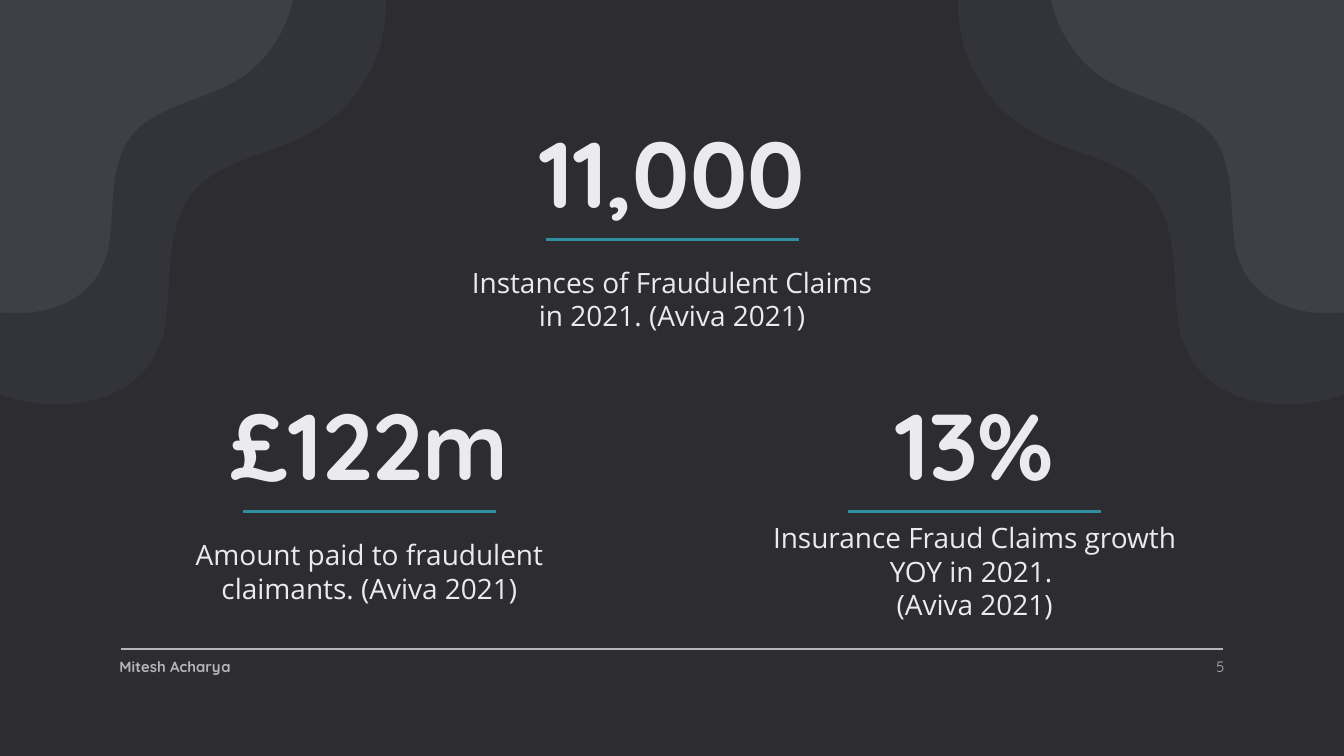
import dataclasses

import pptx
import pptx.dml.color
import pptx.enum.shapes
import pptx.enum.text
import pptx.oxml
import pptx.oxml.ns
import pptx.util

Pt = pptx.util.Pt
ALIGN = pptx.enum.text.PP_ALIGN
WIDE, HIGH = 720, 405


@dataclasses.dataclass(frozen=True)
class Theme:
    back: str = "2D2C31"
    outer: str = "333439"
    inner: str = "3F4045"
    text: str = "EBEAEF"
    muted: str = "B6B6B6"
    accent: str = "2F8EA0"
    head: str = "Quicksand"
    body: str = "Open Sans"
    big: int = 50
    mid: int = 15
    small: int = 8


def color(code):
    return pptx.dml.color.RGBColor.from_string(code)


def bend(shape):
    """Turn each three straight steps after the first into one cubic curve."""
    steps = shape._element.xpath(".//a:lnTo")[1:]
    for i in range(0, len(steps), 3):
        cubic = pptx.oxml.parse_xml(
            "<a:cubicBezTo %s/>" % pptx.oxml.ns.nsdecls("a"))
        steps[i].addprevious(cubic)
        for step in steps[i:i + 3]:
            cubic.append(step[0])
            step.getparent().remove(step)


class Page:
    def __init__(self, deck, theme):
        self.theme = theme
        self.slide = deck.slides.add_slide(deck.slide_layouts[5])
        self.shapes = self.slide.shapes
        fill = self.slide.background.fill
        fill.solid()
        fill.fore_color.rgb = color(theme.back)

    def wave(self, points, code, mirror):
        """Corner blob: a straight top edge, then a chain of curves."""
        spots = [(Pt(WIDE - x if mirror else x), Pt(y)) for x, y in points]
        form = self.shapes.build_freeform(*spots[0])
        form.add_line_segments(spots[1:], close=True)
        blob = form.convert_to_shape()
        bend(blob)
        blob.shadow.inherit = False
        blob.fill.solid()
        blob.fill.fore_color.rgb = color(code)
        blob.line.fill.background()

    def rule(self, left, top, width, code, weight):
        line = self.shapes.add_connector(
            pptx.enum.shapes.MSO_CONNECTOR.STRAIGHT,
            Pt(left), Pt(top), Pt(left + width), Pt(top))
        line.line.color.rgb = color(code)
        line.line.width = Pt(weight)
        props = line._element.spPr
        props.append(pptx.oxml.parse_xml(
            "<a:effectLst %s/>" % pptx.oxml.ns.nsdecls("a")))

    def text(self, place, lines, font, size, code, bold=False,
             align=ALIGN.CENTER, title=False):
        left, top, width, height = (Pt(v) for v in place)
        if title:
            box = self.shapes.title
            box.left, box.top, box.width, box.height = left, top, width, height
        else:
            box = self.shapes.add_textbox(left, top, width, height)
        frame = box.text_frame
        frame.text = "\n".join(lines)
        frame.word_wrap = True
        frame.auto_size = pptx.enum.text.MSO_AUTO_SIZE.NONE
        frame.vertical_anchor = pptx.enum.text.MSO_ANCHOR.MIDDLE
        frame.margin_left = frame.margin_right = Pt(7.2)
        frame.margin_top = frame.margin_bottom = Pt(7.2)
        for para in frame.paragraphs:
            para.alignment = align
            para.font.name = font
            para.font.size = Pt(size)
            para.font.bold = bold
            para.font.color.rgb = color(code)

    def stat(self, left, top, value, lines, title=False):
        """Large figure, accent rule and caption, all on one centre."""
        look, width, span = self.theme, 230.4, 135.4
        self.text((left, top, width, 59), [value], look.head, look.big,
                  look.text, bold=True, title=title)
        self.rule(left + (width - span) / 2, top + 66, span, look.accent, 1.5)
        self.text((left, top + 80.5, width, 34.6), lines, look.body, look.mid,
                  look.text)


# Left corner waves: start, edge, then three points for each curve
OUTER = [
    (-31, -15.8), (204.5, -15.1),
    (212.4, 15.8), (198.7, 51.1), (171.4, 67.7),
    (153.4, 79.9), (131, 82.8), (113, 94.3),
    (86.4, 112.3), (92.9, 146.2), (88.6, 173.5),
    (83.5, 204.5), (57.6, 216.7), (30.2, 216.7),
    (19.4, 216.7), (8.6, 214.6), (-0.7, 211),
    (-13.7, 206.6), (-24.5, 198), (-31, 186.5),
]
INNER = [
    (-42.5, -29.5), (156.2, -28.8),
    (163.4, -2.9), (151.2, 27.4), (128.9, 41.8),
    (113, 51.8), (94.3, 54.7), (79.2, 64.8),
    (56.9, 79.2), (61.9, 108.7), (58.3, 131),
    (54, 157.7), (31.7, 167.8), (8.6, 167.8),
    (0, 167.8), (-9.4, 166.3), (-17.3, 163.4),
    (-28.1, 159.8), (-37.4, 152.6), (-42.5, 142.6),
]


def main():
    deck = pptx.Presentation()
    deck.slide_width, deck.slide_height = Pt(WIDE), Pt(HIGH)
    look = Theme()
    page = Page(deck, look)

    # Corner waves
    for mirror in (True, False):
        page.wave(OUTER, look.outer, mirror)
        page.wave(INNER, look.inner, mirror)

    # Key figures: one on top, two below, in equal columns
    first, step = 82.8, 162.1
    upper, lower = 62.2, 208.1
    page.stat(first, lower, "£122m",
              ["Amount paid to fraudulent claimants. (Aviva 2021)"])
    page.stat(first + step, upper, "11,000",
              ["Instances of Fraudulent Claims in 2021. (Aviva 2021)"], title=True)
    page.stat(first + 2 * step, lower, "13%",
              ["Insurance Fraud Claims growth YOY in 2021. ", "(Aviva 2021)"])

    # Footer
    page.rule(64.8, 347.8, 590.4, look.muted, 0.75)
    page.text((619.9, 351, 43.2, 12.2), ["5"], look.head, look.small,
              look.muted, align=ALIGN.RIGHT)
    page.text((56.9, 351, 151.9, 12.2), ["Mitesh Acharya"], look.head,
              look.small, look.muted, bold=True, align=ALIGN.LEFT)

    deck.save("out.pptx")


if __name__ == "__main__":
    main()
